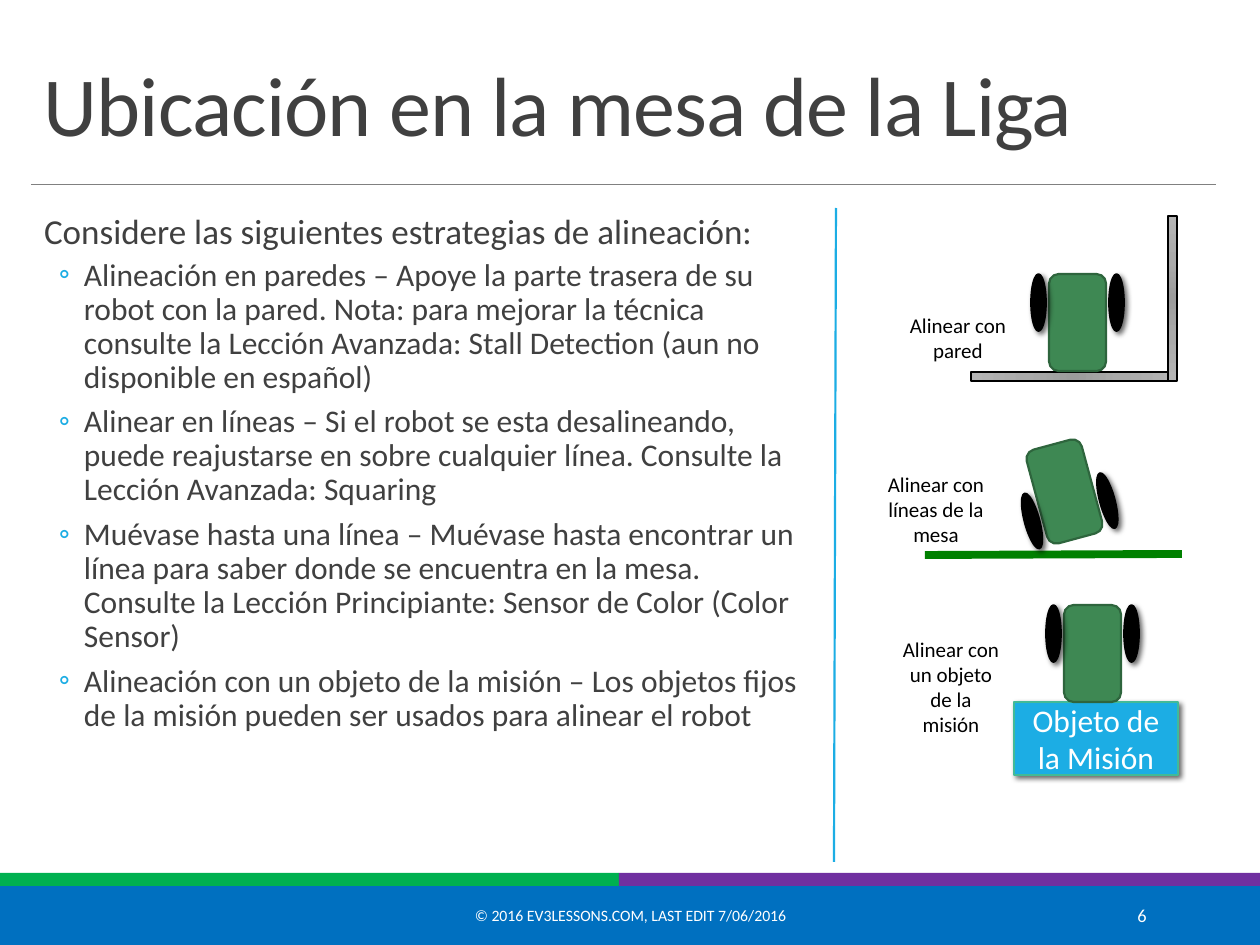
from dataclasses import dataclass

from lxml import etree
from pptx import Presentation
from pptx import util as u
from pptx.dml.color import RGBColor
from pptx.enum import shapes, text
from pptx.oxml import ns

SCALE = 914400 / 126


def px(value):
    return u.Emu(round(value * SCALE))


def add_xml(parent, tag, **attributes):
    return etree.SubElement(parent, ns.qn(tag), {name: str(value) for name, value in attributes.items()})


@dataclass(frozen=True)
class Theme:
    font: str = "Calibri"
    ink: str = "404040"
    black: str = "000000"
    white: str = "FFFFFF"
    accent: str = "1CADE4"
    mission_edge: str = "42BA97"
    rule: str = "808080"
    footer: str = "0070C0"
    green: str = "00B050"
    purple: str = "7030A0"
    table_line: str = "008000"
    robot: str = "3E8853"
    robot_edge: str = "2E653D"
    wall: tuple = ((0, "9C9C9C"), (45, "AAAAAA"), (100, "B4B4B4"))
    title_size: float = 48
    lead_size: float = 20
    body_size: float = 18
    label_size: float = 12
    number_size: float = 10.5
    footer_size: float = 9


class Deck:
    def __init__(self, theme):
        self.theme = theme
        self.presentation = Presentation()
        self.presentation.slide_width = px(1260)
        self.presentation.slide_height = px(945)
        self.slide = self.presentation.slides.add_slide(self.presentation.slide_layouts[5])

    def style(self, paragraph, size, color, align=text.PP_ALIGN.LEFT):
        paragraph.alignment = align
        paragraph.font.name = self.theme.font
        paragraph.font.size = u.Pt(size)
        paragraph.font.color.rgb = RGBColor.from_string(color)

    def title(self, words, left, top, width, height):
        shape = self.slide.shapes.title
        shape.left, shape.top, shape.width, shape.height = map(px, (left, top, width, height))
        frame = shape.text_frame
        frame.text = words
        frame.auto_size = text.MSO_AUTO_SIZE.NONE
        frame.vertical_anchor = text.MSO_ANCHOR.BOTTOM
        paragraph = frame.paragraphs[0]
        paragraph.line_spacing = 0.85
        self.style(paragraph, self.theme.title_size, self.theme.ink)
        paragraph.runs[0]._r.get_or_add_rPr().set("spc", "-50")

    def text_box(self, left, top, width, height):
        frame = self.slide.shapes.add_textbox(*map(px, (left, top, width, height))).text_frame
        frame.word_wrap = True
        return frame

    def label(self, words, left, top, width, height):
        frame = self.text_box(left, top, width, height)
        frame.text = words
        frame.auto_size = text.MSO_AUTO_SIZE.SHAPE_TO_FIT_TEXT
        self.style(frame.paragraphs[0], self.theme.label_size, self.theme.black, text.PP_ALIGN.CENTER)

    def footer_text(self, words, left, width, size, align):
        frame = self.text_box(left, 890, width, 50)
        frame.text = words
        frame.vertical_anchor = text.MSO_ANCHOR.MIDDLE
        self.style(frame.paragraphs[0], size, self.theme.white, align)

    def bullets(self, lead, items, left, top, width, height):
        frame = self.text_box(left, top, width, height)
        frame.margin_left = frame.margin_right = 0
        self.bullet(frame.paragraphs[0], lead, " ", self.theme.lead_size, 13, 13, 0, 2)
        for item in items:
            self.bullet(frame.add_paragraph(), item, "◦", self.theme.body_size, 53, 25, 2, 4)

    def bullet(self, paragraph, words, mark, size, indent, hanging, before, after):
        paragraph.text = words
        paragraph.line_spacing = 0.9
        paragraph.space_before = u.Pt(before)
        paragraph.space_after = u.Pt(after)
        properties = paragraph._p.get_or_add_pPr()
        properties.set("marL", str(px(indent)))
        properties.set("indent", str(-px(hanging)))
        add_xml(add_xml(properties, "a:buClr"), "a:srgbClr", val=self.theme.accent)
        add_xml(properties, "a:buFont", typeface=self.theme.font)
        add_xml(properties, "a:buChar", char=mark)
        self.style(paragraph, size, self.theme.ink)

    def shape(self, kind, left, top, width, height, fill, line=None, weight=1.0, shadow=False, parent=None):
        owner = parent or self.slide
        shape = owner.shapes.add_shape(kind, *map(px, (left, top, width, height)))
        shape.shadow.inherit = False
        shape.fill.solid()
        shape.fill.fore_color.rgb = RGBColor.from_string(fill)
        if line:
            shape.line.color.rgb = RGBColor.from_string(line)
            shape.line.width = u.Pt(weight)
        else:
            shape.line.fill.background()
        if shadow:
            self.drop_shadow(shape)
        return shape

    def rectangle(self, *arguments, **options):
        return self.shape(shapes.MSO_SHAPE.RECTANGLE, *arguments, **options)

    def drop_shadow(self, shape):
        effects = shape._element.spPr.find(ns.qn("a:effectLst"))
        outer = add_xml(effects, "a:outerShdw", blurRad=u.Pt(3), dist=u.Pt(2), dir=45 * 60000, rotWithShape=0)
        color = add_xml(outer, "a:srgbClr", val=self.theme.black)
        add_xml(color, "a:alpha", val=60000)

    def wall(self, left, top, length, rotation=0):
        shape = self.rectangle(left, top, length, 9, self.theme.wall[0][1], self.theme.black)
        shape.rotation = rotation
        gradient = etree.Element(ns.qn("a:gradFill"), rotWithShape="1")
        stops = add_xml(gradient, "a:gsLst")
        for position, color in self.theme.wall:
            add_xml(add_xml(stops, "a:gs", pos=position * 1000), "a:srgbClr", val=color)
        circle = add_xml(gradient, "a:path", path="circle")
        add_xml(circle, "a:fillToRect", l=100000, t=100000, r=100000, b=100000)
        properties = shape._element.spPr
        properties.replace(properties.find(ns.qn("a:solidFill")), gradient)

    def robot(self, center_x, center_y, rotation):
        left, top = center_x - 46, center_y - 48
        group = self.slide.shapes.add_group_shape()
        self.shape(shapes.MSO_SHAPE.ROUNDED_RECTANGLE, left + 18, top, 57, 97,
                   self.theme.robot, self.theme.robot_edge, 1.25, parent=group)
        for wheel_left in (left, left + 78):
            self.shape(shapes.MSO_SHAPE.OVAL, wheel_left, top + 40, 15, 57,
                       self.theme.black, self.theme.black, shadow=True, parent=group)
        group.rotation = rotation

    def mission(self, words, left, top, width, height):
        shape = self.rectangle(left, top, width, height, self.theme.accent, self.theme.mission_edge, shadow=True)
        frame = shape.text_frame
        frame.text = words
        frame.word_wrap = True
        frame.vertical_anchor = text.MSO_ANCHOR.MIDDLE
        self.style(frame.paragraphs[0], self.theme.body_size, self.theme.white, text.PP_ALIGN.CENTER)

    def line(self, start_x, start_y, end_x, end_y, color, weight):
        connector = self.slide.shapes.add_connector(
            shapes.MSO_CONNECTOR.STRAIGHT, *map(px, (start_x, start_y, end_x, end_y)))
        connector.line.color.rgb = RGBColor.from_string(color)
        connector.line.width = u.Pt(weight)
        add_xml(connector._element.spPr, "a:effectLst")


def main():
    theme = Theme()
    deck = Deck(theme)
    deck.rectangle(0, 882, 1260, 63, theme.footer, theme.footer, 1.25)
    deck.rectangle(0, 873, 619, 13, theme.green)
    deck.line(31, 184, 1216, 184, theme.rule, 0.5)
    deck.rectangle(619, 873, 641, 13, theme.purple)
    deck.title("Ubicación en la mesa de la Liga", 31, 39, 1184, 121)
    deck.bullets("Considere las siguientes estrategias de alineación:", (
        "Alineación en paredes – Apoye la parte trasera de su robot con la pared. Nota: para mejorar "
        "la técnica consulte la Lección Avanzada: Stall Detection (aun no disponible en español)",
        "Alinear en líneas – Si el robot se esta desalineando, puede reajustarse en sobre cualquier "
        "línea. Consulte la Lección Avanzada: Squaring",
        "Muévase hasta una línea – Muévase hasta encontrar un línea para saber donde se encuentra en "
        "la mesa. Consulte la Lección Principiante: Sensor de Color (Color Sensor)",
        "Alineación con un objeto de la misión – Los objetos fijos de la misión pueden ser usados "
        "para alinear el robot",
    ), 31, 208, 775, 641)
    deck.footer_text("© 2016 EV3LESSONS.COM, LAST EDIT 7/06/2016", 381, 499,
                     theme.footer_size, text.PP_ALIGN.CENTER)

    deck.line(1182, 554, 925, 555, theme.table_line, 4.5)
    deck.mission("Objeto de la Misión", 1014, 702, 164, 73)
    deck.robot(1064, 491, 344.9)
    deck.robot(1092, 653, 180)
    deck.wall(971, 372, 204)
    deck.wall(1090, 294, 165, 90)
    deck.robot(1077, 322, 180)
    deck.label("Alinear con pared", 895, 306, 126, 63)
    deck.label("Alinear con líneas de la mesa", 873, 465, 126, 89)
    deck.label("Alinear con un objeto de la misión", 888, 630, 126, 115)
    deck.line(834, 862, 836, 208, theme.accent, 1.25)
    deck.footer_text("6", 1023, 136, theme.number_size, text.PP_ALIGN.RIGHT)
    deck.presentation.save("out.pptx")


if __name__ == "__main__":
    main()
